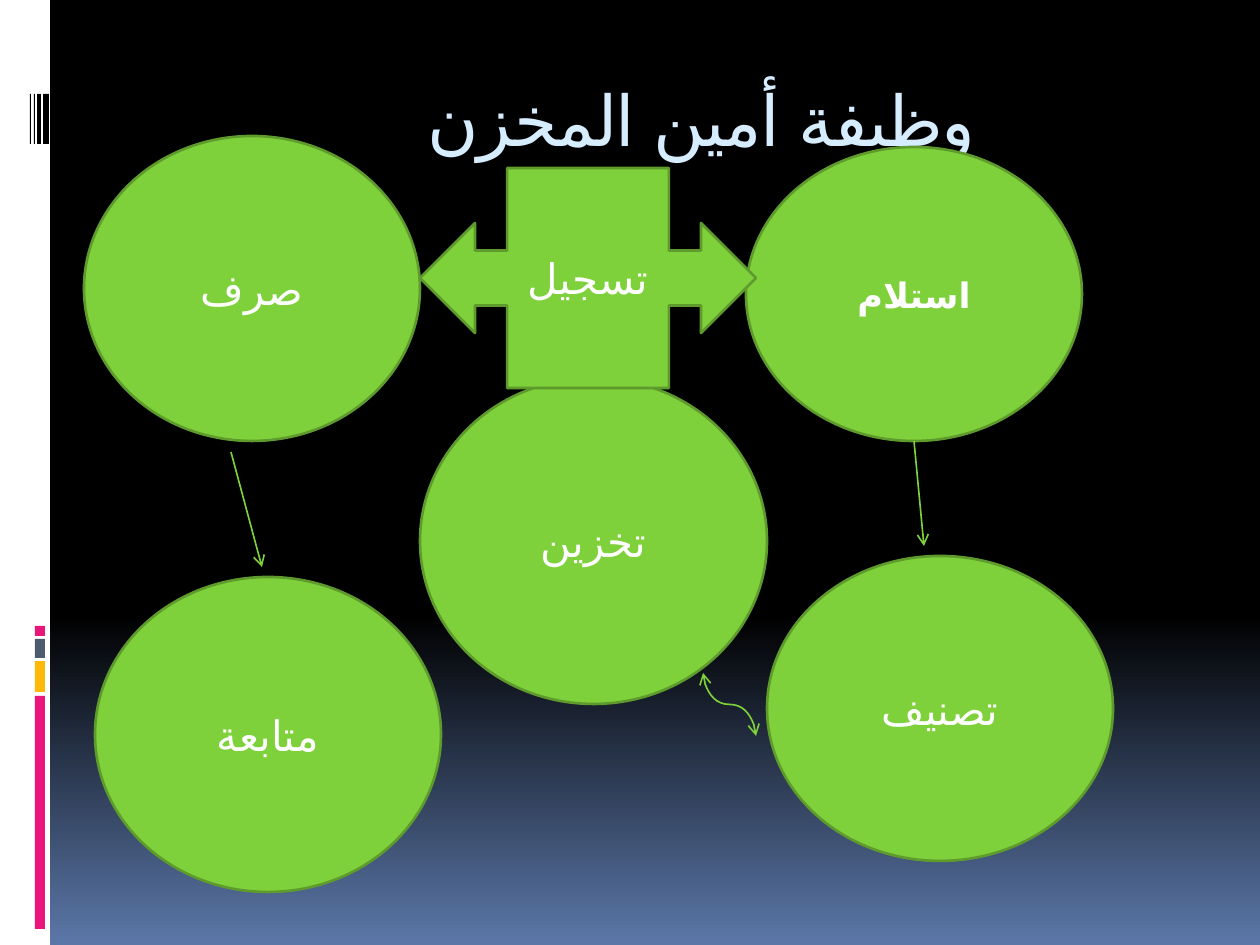
from pptx import Presentation
from pptx.dml.color import RGBColor
from pptx.enum.shapes import MSO_CONNECTOR as CONN, MSO_SHAPE as SHAPE
from pptx.enum.text import MSO_ANCHOR, PP_ALIGN
from pptx.oxml.ns import qn
from pptx.util import Emu, Pt
from lxml.etree import SubElement

BLACK = RGBColor(0x00, 0x00, 0x00)
WHITE = RGBColor(0xFF, 0xFF, 0xFF)
BLUE = RGBColor(0x5B, 0x77, 0xA8)
PALE_BLUE = RGBColor(0xD6, 0xEC, 0xFF)
GREEN = RGBColor(0x7F, 0xD1, 0x3B)
DARK_GREEN = RGBColor(0x5E, 0x9B, 0x2C)
PINK = RGBColor(0xEA, 0x15, 0x7A)
AMBER = RGBColor(0xFE, 0xB8, 0x0A)
SLATE = RGBColor(0x4E, 0x5B, 0x6F)
ARABIC_FONT = "DejaVu Sans"

TITLE = "وظيفة أمين المخزن"
TITLE_BOX = (294, 70, 903, 126)

# Side decoration: (top, height, colour) and (left, width)
RAIL = (0, 0, 50, 945)
BLOCK_X, BLOCK_W = 35, 10
BLOCKS = [(696, 233, PINK), (661, 31, AMBER), (639, 19, SLATE), (626, 10, PINK)]
BAR_Y, BAR_H = 94, 50
BARS = [(43, 6), (37, 4), (34, 1), (30, 1)]

# Tasks: text, shape, box, size, bold
TASKS = [
    ("صرف", SHAPE.OVAL, (84, 136, 336, 305), 24, False),
    ("استلام", SHAPE.OVAL, (746, 147, 336, 294), 20, True),
    ("تصنيف", SHAPE.OVAL, (767, 556, 346, 305), 24, False),
    ("تخزين", SHAPE.OVAL, (420, 378, 347, 326), 24, False),
    ("متابعة", SHAPE.OVAL, (95, 577, 346, 315), 24, False),
    ("تسجيل", SHAPE.LEFT_RIGHT_ARROW_CALLOUT, (420, 168, 336, 220), 24, False),
]

# Arrows: kind, begin and end before rotation, rotation, arrowheads
ARROWS = [
    (CONN.STRAIGHT, (914, 441, 924, 546), 0, ["tailEnd"]),
    (CONN.CURVE, (698, 731, 761, 678), 270, ["headEnd", "tailEnd"]),
    (CONN.STRAIGHT, (231, 452, 262, 567), 0, ["tailEnd"]),
]


def px(*values):
    return [Emu(round(v * 914400 / 126)) for v in values]


def add_shape(kind, box, fill, line=None):
    sp = slide.shapes.add_shape(kind, *px(*box))
    sp.shadow.inherit = False
    sp.fill.solid()
    sp.fill.fore_color.rgb = fill
    if line is None:
        sp.line.fill.background()
    else:
        sp.line.color.rgb = line
        sp.line.width = Pt(1.5)
    return sp


def set_text(sp, text, font, size, color, bold=False, anchor=MSO_ANCHOR.MIDDLE):
    tf = sp.text_frame
    tf.text = text
    tf.word_wrap = True
    tf.vertical_anchor = anchor
    p = tf.paragraphs[0]
    p.alignment = PP_ALIGN.CENTER
    p._p.get_or_add_pPr().set("rtl", "1")
    r = p.runs[0]
    r.font.name, r.font.size, r.font.bold = font, Pt(size), bold
    r.font.color.rgb = color
    SubElement(r._r.rPr, qn("a:cs"), typeface=ARABIC_FONT)
    return r


prs = Presentation()
prs.slide_width, prs.slide_height = px(1260, 945)
slide = prs.slides.add_slide(prs.slide_layouts[5])

# Background: black down to 65 %, then fading to blue
bg = slide.background.fill
bg.gradient()
bg.gradient_angle = 270
for stop, position, color in zip(bg.gradient_stops, (0.65, 1), (BLACK, BLUE)):
    stop.position = position
    stop.color.rgb = color

# Side decoration
add_shape(SHAPE.RECTANGLE, RAIL, WHITE)
for top, height, color in BLOCKS:
    add_shape(SHAPE.RECTANGLE, (BLOCK_X, top, BLOCK_W, height), color)
for left, width in BARS:
    add_shape(SHAPE.RECTANGLE, (left, BAR_Y, width, BAR_H), BLACK)

# Title, centred a little left of its box
title = slide.shapes.title
title.left, title.top, title.width, title.height = px(*TITLE_BOX)
r = set_text(title, TITLE, "DejaVu Sans Mono", 40, PALE_BLUE, anchor=MSO_ANCHOR.TOP)
r._r.rPr.set("spc", "-100")
title.text_frame.margin_left, title.text_frame.margin_right = px(12, 100)

# Tasks
for text, kind, box, size, bold in TASKS:
    sp = add_shape(kind, box, GREEN, DARK_GREEN)
    set_text(sp, text, "Cabin", size, WHITE, bold)

# Arrows
for kind, ends, rotation, heads in ARROWS:
    cxn = slide.shapes.add_connector(kind, *px(*ends))
    cxn.line.color.rgb = GREEN
    cxn.line.width = Pt(0.94)
    sp_pr = cxn._element.spPr
    if rotation:
        sp_pr.find(qn("a:xfrm")).set("rot", str(rotation * 60000))
    for head in heads:
        SubElement(sp_pr.find(qn("a:ln")), qn(f"a:{head}"), type="arrow")
    SubElement(sp_pr, qn("a:effectLst"))

prs.save("out.pptx")
